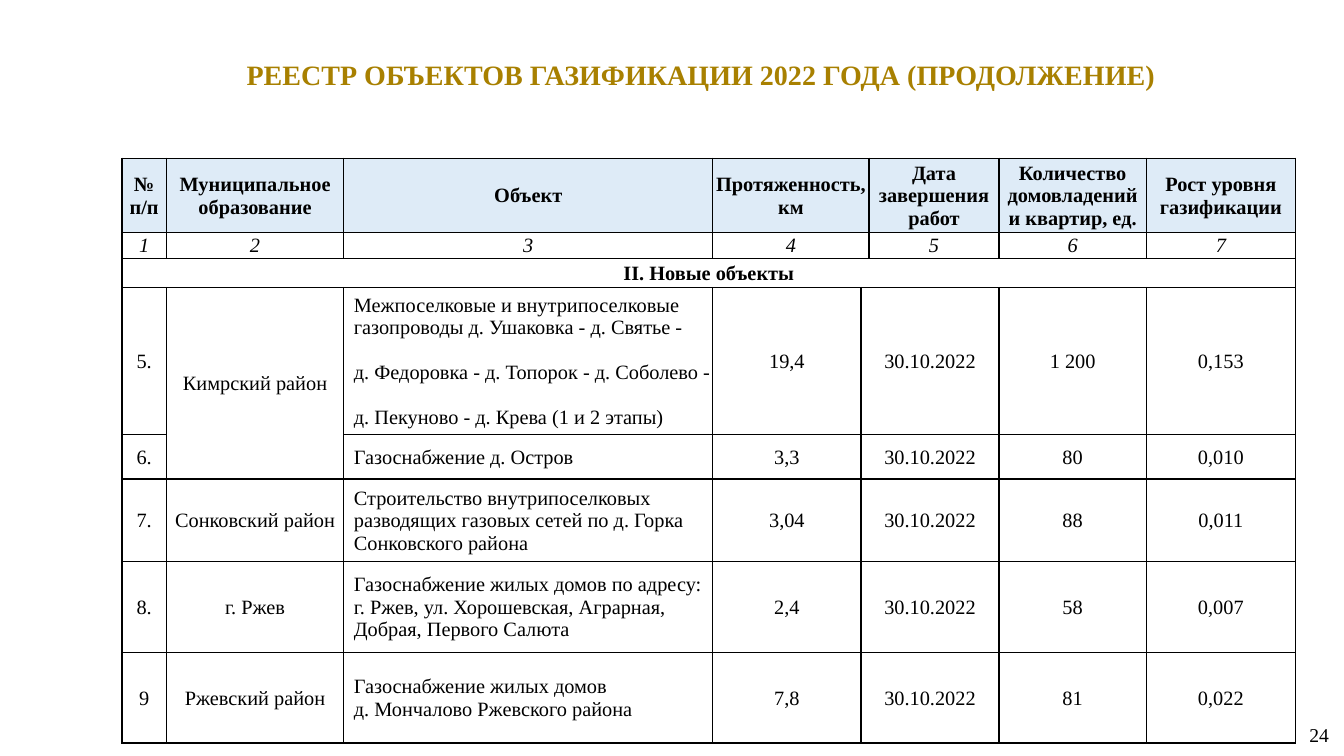
from lxml import etree
from pptx import Presentation
from pptx.dml.color import RGBColor
from pptx.enum import text as t
from pptx.oxml.ns import qn
from pptx.util import Inches, Pt

FONT = "Times New Roman"
BLACK, GOLD, HEADER_BLUE = "000000", "A88000", "DEEBF7"
TITLE = "РЕЕСТР ОБЪЕКТОВ ГАЗИФИКАЦИИ 2022 ГОДА (ПРОДОЛЖЕНИЕ)"
PAGE_NUMBER = "24"

COLUMN_WIDTHS = [0.44, 1.76, 3.66, 1.47, 0.08, 1.29, 1.46, 1.48]
ROW_HEIGHTS = [0.74, 0.25, 0.29, 1.46, 0.44, 0.82, 0.9, 0.9]
OBJECT_COLUMN = 2
HEADER_ROW, NUMBER_ROW, SECTION_ROW = range(3)

# None marks a place covered by a merged cell; a newline starts a paragraph.
ROWS = [
    ["№ п/п", "Муниципальное образование", "Объект", "Протяженность,\nкм", None,
     "Дата завершения работ", "Количество домовладений и квартир, ед.",
     "Рост уровня газификации"],
    ["1", "2", "3", "4", None, "5", "6", "7"],
    ["II. Новые объекты"] + [None] * 7,
    ["5.", "Кимрский район",
     "Межпоселковые и внутрипоселковые\n"
     "газопроводы д. Ушаковка - д. Святье -\n"
     "д. Федоровка - д. Топорок - д. Соболево -\n"
     "д. Пекуново - д. Крева (1 и 2 этапы)",
     "19,4", "30.10.2022", None, "1 200", "0,153"],
    ["6.", None, "Газоснабжение д. Остров",
     "3,3", "30.10.2022", None, "80", "0,010"],
    ["7.", "Сонковский район",
     "Строительство внутрипоселковых\n"
     "разводящих газовых сетей по д. Горка\n"
     "Сонковского района",
     "3,04", "30.10.2022", None, "88", "0,011"],
    ["8.", "г. Ржев",
     "Газоснабжение жилых домов по адресу:\n"
     "г. Ржев, ул. Хорошевская, Аграрная,\n"
     "Добрая, Первого Салюта",
     "2,4", "30.10.2022", None, "58", "0,007"],
    ["9", "Ржевский район",
     "Газоснабжение жилых домов\n"
     "д. Мончалово Ржевского района",
     "7,8", "30.10.2022", None, "81", "0,022"],
]
# (first row, first column, last row, last column)
MERGES = [(0, 3, 0, 4), (1, 3, 1, 4), (2, 0, 2, 7), (3, 1, 4, 1)]
MERGES += [(row, 4, row, 5) for row in range(3, len(ROWS))]
SPACED_LINES = {(3, OBJECT_COLUMN): (2, 3)}


def rgb(value):
    return RGBColor.from_string(value)


def write(frame, words, align, size, color=BLACK, spaced=(), **style):
    """Fill a text frame, one paragraph per line; spaced lines get a gap above."""
    for index, line in enumerate(words.split("\n")):
        paragraph = frame.paragraphs[0] if index == 0 else frame.add_paragraph()
        paragraph.alignment = align
        if index in spaced:
            paragraph.space_before = Pt(16)
        font = paragraph.add_run().font
        paragraph.runs[0].text = line
        font.color.rgb = rgb(color)
        for key, value in dict(name=FONT, size=Pt(size), **style).items():
            setattr(font, key, value)


def add_label(slide, box, words, align, anchor, size, **style):
    frame = slide.shapes.add_textbox(*map(Inches, box)).text_frame
    frame.word_wrap = True
    frame.vertical_anchor = anchor
    write(frame, words, align, size, **style)


def add_borders(cell):
    properties = cell._tc.get_or_add_tcPr()
    for side in ("lnL", "lnR", "lnT", "lnB"):
        line = etree.SubElement(properties, qn(f"a:{side}"), w=str(Pt(1)))
        fill = etree.SubElement(line, qn("a:solidFill"))
        etree.SubElement(fill, qn("a:srgbClr"), val=BLACK)


def format_cell(cell, row, column):
    is_object = column == OBJECT_COLUMN and row > SECTION_ROW
    layout = dict(margin_left=Inches(0.1 if is_object else 0.01),
                  margin_right=Inches(0 if is_object else 0.01),
                  margin_top=Inches(0.01), margin_bottom=0,
                  vertical_anchor=t.MSO_ANCHOR.MIDDLE)
    for key, value in layout.items():
        setattr(cell, key, value)
    add_borders(cell)
    if row == HEADER_ROW:
        cell.fill.solid()
        cell.fill.fore_color.rgb = rgb(HEADER_BLUE)
    else:
        cell.fill.background()
    words = ROWS[row][column]
    if words:
        write(cell.text_frame, words,
              t.PP_ALIGN.LEFT if is_object else t.PP_ALIGN.CENTER, 14.5,
              spaced=SPACED_LINES.get((row, column), ()),
              bold=row in (HEADER_ROW, SECTION_ROW), italic=row == NUMBER_ROW)


def add_register(slide):
    box = (1.21, 1.57, sum(COLUMN_WIDTHS), sum(ROW_HEIGHTS))
    register = slide.shapes.add_table(
        len(ROWS), len(COLUMN_WIDTHS), *map(Inches, box)).table
    register.first_row = register.horz_banding = False
    for column, width in zip(register.columns, COLUMN_WIDTHS):
        column.width = Inches(width)
    for row, height in zip(register.rows, ROW_HEIGHTS):
        row.height = Inches(height)
    for top, left, bottom, right in MERGES:
        register.cell(top, left).merge(register.cell(bottom, right))
    for row in range(len(ROWS)):
        for column in range(len(COLUMN_WIDTHS)):
            format_cell(register.cell(row, column), row, column)


def main():
    deck = Presentation()
    deck.slide_width, deck.slide_height = Inches(13.33), Inches(7.5)
    slide = deck.slides.add_slide(deck.slide_layouts[6])
    add_label(slide, (10.57, 6.98, 2.71, 0.61), PAGE_NUMBER,
              t.PP_ALIGN.RIGHT, t.MSO_ANCHOR.MIDDLE, 14)
    add_label(slide, (1.38, 0.52, 11.14, 0.44), TITLE,
              t.PP_ALIGN.CENTER, t.MSO_ANCHOR.TOP, 20, color=GOLD, bold=True)
    add_register(slide)
    deck.save("out.pptx")


if __name__ == "__main__":
    main()
